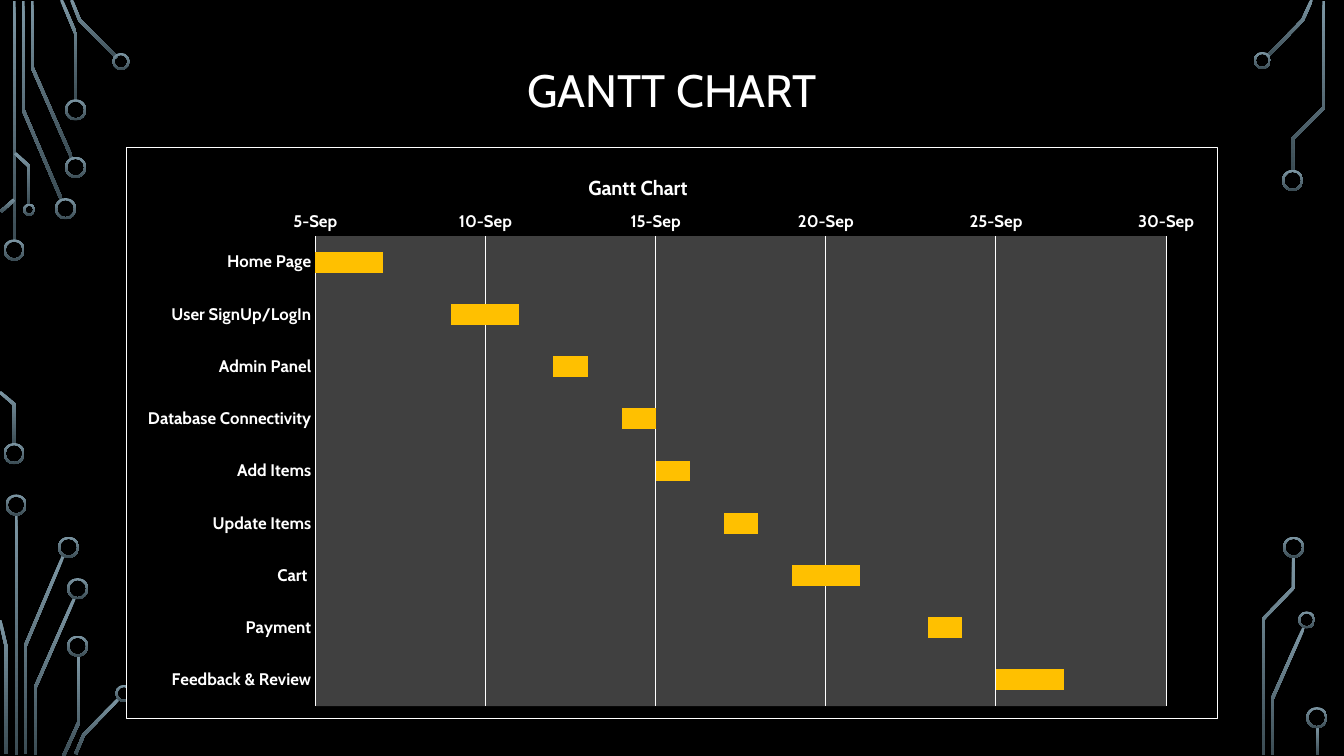
import math

from lxml import etree
from pptx import Presentation
from pptx.chart.data import CategoryChartData
from pptx.dml.color import RGBColor
from pptx.enum import chart as ch, shapes, text
from pptx.oxml.ns import qn
from pptx.util import Inches, Pt

BLACK = RGBColor(0x00, 0x00, 0x00)
WHITE = RGBColor(0xFF, 0xFF, 0xFF)
PLOT_GREY = RGBColor(0x40, 0x40, 0x40)
AMBER = RGBColor(0xFF, 0xC0, 0x00)
TRACE_TOP = RGBColor(0x7C, 0x96, 0xA3)
TRACE_END = RGBColor(0x3B, 0x4C, 0x54)
FONT = "Cabin"
TRACE_WIDTH = 0.03
RING_WALL = 0.02

# Task, first day of September, length in days
TASKS = [
    ("Home Page", 5, 2), ("User SignUp/LogIn", 9, 2), ("Admin Panel", 12, 1),
    ("Database Connectivity", 14, 1), ("Add Items", 15, 1),
    ("Update Items", 17, 1), ("Cart ", 19, 2), ("Payment", 23, 1),
    ("Feedback & Review", 25, 2),
]
SEPTEMBER = 44804  # date serial of the day before 1 September

# Circuit traces as centre lines, rings as (centre x, centre y, diameter)
LEFT_TRACES = [
    [(0.14, 0.01), (0.14, 2.4)],
    [(0.23, 0.01), (0.23, 1.09), (0.61, 1.98)],
    [(0.32, 0.01), (0.32, 0.67), (0.71, 1.56)],
    [(0.61, 0), (0.75, 0.33), (0.75, 1)],
    [(0.71, 0), (0.79, 0.2), (1.16, 0.57)],
    [(0.01, 2.1), (0.14, 1.98)],
    [(0, 3.89), (0.14, 4.01), (0.14, 4.41)],
    [(0.15, 1.52), (0.29, 1.65), (0.29, 2.03)],
    [(0.16, 5.1), (0.16, 7.49)],
    [(0.25, 7.48), (0.25, 6.41), (0.63, 5.51)],
    [(0, 6.15), (0.06, 6.41), (0.06, 7.48)],
    [(0.35, 7.49), (0.35, 6.82), (0.74, 5.93)],
    [(0.63, 7.5), (0.78, 7.17), (0.78, 6.5)],
    [(0.75, 7.48), (0.83, 7.29), (1.18, 6.93)],
]
LEFT_RINGS = [
    (0.14, 2.48, 0.21), (0.14, 4.5, 0.21), (0.65, 2.07, 0.21),
    (0.75, 1.66, 0.21), (0.75, 1.09, 0.21), (1.2, 0.61, 0.17),
    (0.29, 2.08, 0.12), (0.16, 5.01, 0.21), (0.68, 5.43, 0.21),
    (0.77, 5.84, 0.21), (0.77, 6.41, 0.21), (1.23, 6.88, 0.17),
]
RIGHT_TRACES = [
    [(0.17, 0.56), (0.52, 0.2), (0.61, 0)],
    [(0.42, 1.69), (0.42, 1.38), (0.73, 1.07), (0.73, 0.01)],
    [(0.22, 7.49), (0.22, 6.93), (0.53, 6.23)],
    [(0.13, 7.49), (0.13, 6.14), (0.43, 5.83), (0.43, 5.52)],
    [(0.67, 7.21), (0.67, 7.49)],
]
RIGHT_RINGS = [
    (0.12, 0.6, 0.17), (0.42, 1.79, 0.21), (0.56, 6.15, 0.17),
    (0.43, 5.43, 0.21), (0.66, 7.12, 0.21),
]


def strip_outline(points, width):
    """Outline of a band of even width along a centre line, with mitred bends."""
    normals = []
    for (x1, y1), (x2, y2) in zip(points, points[1:]):
        length = math.hypot(x2 - x1, y2 - y1)
        normals.append(((y1 - y2) / length, (x2 - x1) / length))
    near, far = [], []
    for (x, y), (ax, ay), (bx, by) in zip(
            points, normals[:1] + normals, normals + normals[-1:]):
        reach = width / 2 / (1 + ax * bx + ay * by)
        dx, dy = (ax + bx) * reach, (ay + by) * reach
        near.append((x + dx, y + dy))
        far.append((x - dx, y - dy))
    return near + far[::-1]


def style_trace(shape):
    shape.shadow.inherit = False
    shape.line.fill.background()
    shape.fill.gradient()
    shape.fill.gradient_angle = 270
    for stop, color in zip(shape.fill.gradient_stops, (TRACE_TOP, TRACE_END)):
        stop.color.rgb = color


def add_circuit(page, left, top, traces, rings):
    for points in traces:
        outline = [(Inches(left + x), Inches(top + y))
                   for x, y in strip_outline(points, TRACE_WIDTH)]
        builder = page.shapes.build_freeform(*outline[0])
        builder.add_line_segments(outline[1:], close=True)
        style_trace(builder.convert_to_shape())
    for x, y, size in rings:
        ring = page.shapes.add_shape(
            shapes.MSO_SHAPE.DONUT, Inches(left + x - size / 2),
            Inches(top + y - size / 2), Inches(size), Inches(size))
        ring.adjustments[0] = RING_WALL / size
        style_trace(ring)


def add_title(page, left, top, width, height):
    title = page.shapes.title
    title.left, title.top = Inches(left), Inches(top)
    title.width, title.height = Inches(width), Inches(height)
    frame = title.text_frame
    frame.word_wrap = True
    frame.auto_size = text.MSO_AUTO_SIZE.NONE
    frame.vertical_anchor = text.MSO_ANCHOR.MIDDLE
    para = frame.paragraphs[0]
    para.alignment = text.PP_ALIGN.CENTER
    para.line_spacing = 0.9
    span = para.add_run()
    span.text = "GANTT CHART"
    style_font(span.font, 32.4, False)


def style_font(font, size, bold):
    font.name, font.size, font.bold = FONT, Pt(size), bold
    font.color.rgb = WHITE


def area_style(fill, border=None):
    """Chart-area formatting: solid fill with an optional thin border."""
    area = etree.Element(qn("c:spPr"))
    paint = etree.SubElement(area, qn("a:solidFill"))
    etree.SubElement(paint, qn("a:srgbClr"), val=str(fill))
    line = etree.SubElement(area, qn("a:ln"), w=str(Pt(0.75)))
    if border is None:
        etree.SubElement(line, qn("a:noFill"))
    else:
        paint = etree.SubElement(line, qn("a:solidFill"))
        etree.SubElement(paint, qn("a:srgbClr"), val=str(border))
    return area


def manual_layout(parent, index, **settings):
    """Place a chart part by fractions of the chart's size."""
    for old in parent.findall(qn("c:layout")):
        parent.remove(old)
    layout = etree.Element(qn("c:layout"))
    manual = etree.SubElement(layout, qn("c:manualLayout"))
    for name, value in settings.items():
        etree.SubElement(manual, qn("c:" + name), val=str(value))
    parent.insert(index, layout)


def add_gantt(page, left, top, width, height):
    data = CategoryChartData()
    data.categories = [name for name, start, days in TASKS]
    data.add_series("Series 1", [SEPTEMBER + start for name, start, days in TASKS])
    data.add_series("Series 2", [days for name, start, days in TASKS])
    chart = page.shapes.add_chart(
        ch.XL_CHART_TYPE.BAR_STACKED, Inches(left), Inches(top),
        Inches(width), Inches(height), data).chart
    chart.has_legend = False
    style_font(chart.font, 12, True)

    # Heading inside the chart
    chart.has_title = True
    span = chart.chart_title.text_frame.paragraphs[0].add_run()
    span.text = "Gantt Chart"
    style_font(span.font, 14.4, True)

    # Bars: the first series only pushes the second to its start date
    plot = chart.plots[0]
    plot.gap_width, plot.overlap, plot.vary_by_categories = 150, 100, False
    offset, duration = plot.series
    offset.format.fill.background()
    duration.format.fill.solid()
    duration.format.fill.fore_color.rgb = AMBER

    # Axes
    tasks, dates = chart.category_axis, chart.value_axis
    for axis in (tasks, dates):
        axis.major_tick_mark = axis.minor_tick_mark = ch.XL_TICK_MARK.NONE
        axis.format.line.fill.background()
        style_font(axis.tick_labels.font, 12, True)
    tasks.reverse_order = True
    dates.minimum_scale, dates.maximum_scale = SEPTEMBER + 5, SEPTEMBER + 30
    dates.major_unit = 5
    dates.tick_labels.number_format = "d\\-mmm"
    dates.tick_labels.number_format_is_linked = False
    dates.has_major_gridlines = True
    grid = dates.major_gridlines.format.line
    grid.color.rgb, grid.width = WHITE, Pt(0.75)

    # Backgrounds and placement
    body = chart.element.find(qn("c:chart"))
    body.addnext(area_style(BLACK, WHITE))
    plot_area = body.find(qn("c:plotArea"))
    plot_area.append(area_style(PLOT_GREY))
    manual_layout(plot_area, 0, layoutTarget="inner", xMode="edge",
                  yMode="edge", x=0.173, y=0.155, w=0.78, h=0.824)
    manual_layout(body.find(qn("c:title")), 1, xMode="edge", yMode="edge",
                  x=0.42, y=0.04)


def main():
    deck = Presentation()
    deck.slide_width, deck.slide_height = Inches(13.33), Inches(7.5)
    page = deck.slides.add_slide(deck.slide_layouts[5])
    page.background.fill.solid()
    page.background.fill.fore_color.rgb = BLACK
    add_circuit(page, 0, 0, LEFT_TRACES, LEFT_RINGS)
    add_circuit(page, 12.4, 0, RIGHT_TRACES, RIGHT_RINGS)
    add_title(page, 1.25, 0.68, 10.83, 0.49)
    add_gantt(page, 1.25, 1.46, 10.83, 5.67)
    deck.save("out.pptx")


if __name__ == "__main__":
    main()
